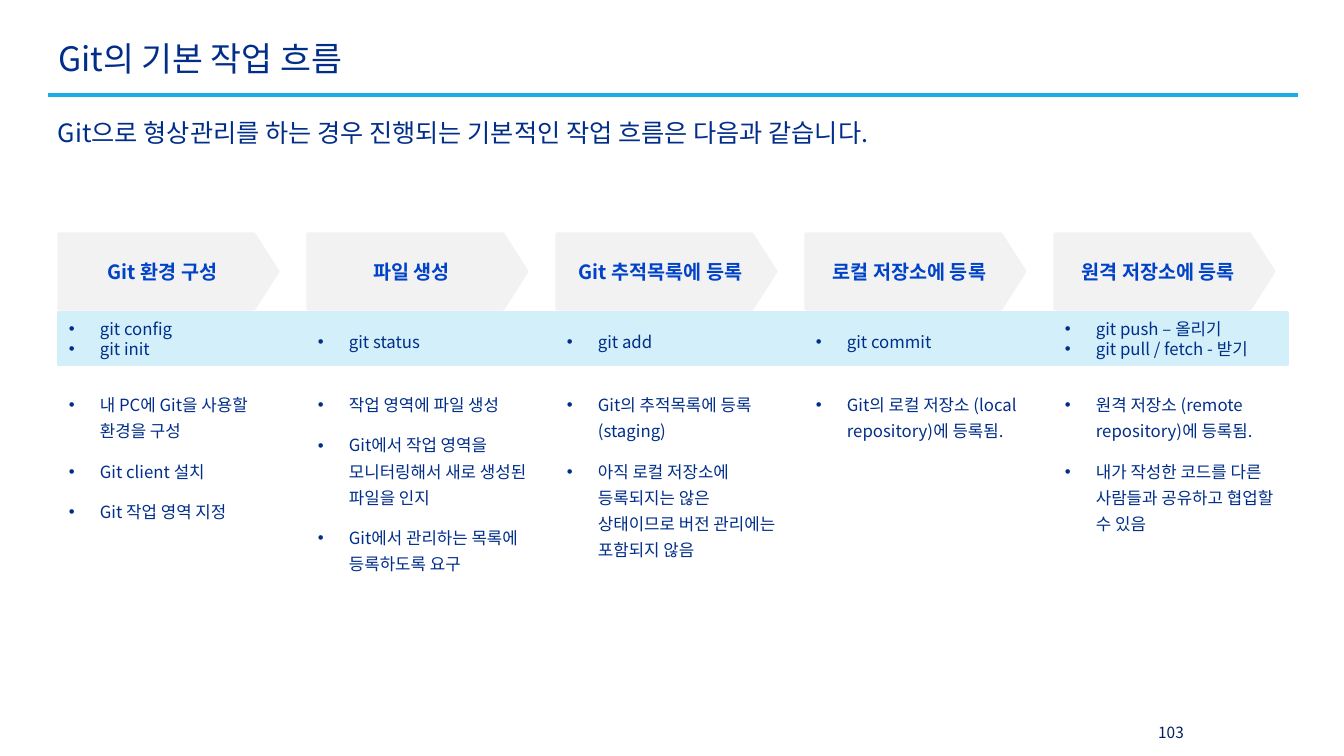
from lxml import etree
from pptx import Presentation
from pptx import util as u
from pptx.dml.color import RGBColor
from pptx.enum import shapes, text
from pptx.oxml.ns import qn

TITLE = "Git의 기본 작업 흐름"
SUBTITLE = "Git으로 형상관리를 하는 경우 진행되는 기본적인 작업 흐름은 다음과 같습니다."
PAGE_NUMBER = "103"
# (step, commands, notes)
STEPS = [
    ("Git 환경 구성", ["git config", "git init"],
     ["내 PC에 Git을 사용할 환경을 구성", "Git client 설치", "Git 작업 영역 지정"]),
    ("파일 생성", ["git status"],
     ["작업 영역에 파일 생성",
      "Git에서 작업 영역을 모니터링해서 새로 생성된 파일을 인지",
      "Git에서 관리하는 목록에 등록하도록 요구"]),
    ("Git 추적목록에 등록", ["git add"],
     ["Git의 추적목록에 등록 (staging)",
      "아직 로컬 저장소에 등록되지는 않은 상태이므로 버전 관리에는 포함되지 않음"]),
    ("로컬 저장소에 등록", ["git commit"],
     ["Git의 로컬 저장소 (local repository)에 등록됨."]),
    ("원격 저장소에 등록", ["git push – 올리기", "git pull / fetch - 받기"],
     ["원격 저장소 (remote repository)에 등록됨.",
      "내가 작성한 코드를 다른 사람들과 공유하고 협업할 수 있음"]),
]

COLORS = {"text": "002E89", "step": "0042C8", "page": "002060",
          "rule": "1CADE4", "band": "D2EFFA", "arrow": "F2F2F2"}
FONT = "Noto Sans CJK KR"

SLIDE_WIDTH, SLIDE_HEIGHT = 1344, 756
EMU_PER_PX = u.Inches(7.5) / SLIDE_HEIGHT
MARGIN, CONTENT_WIDTH, RULE_Y = 48, 1250, 95
LEFT, COLUMN_STEP, COLUMN_WIDTH = 59, 249, 233
ARROW_TOP, ARROW_WIDTH, ARROW_HEIGHT = 234, 219, 75
BAND_TOP, BAND_WIDTH, BAND_HEIGHT = 313, 1228, 51
NOTES_TOP, NOTES_HEIGHT = 384, 190
BULLET_INDENT = 31

ANCHOR, ALIGN = text.MSO_ANCHOR, text.PP_ALIGN


def px(*lengths):
    return [round(length * EMU_PER_PX) for length in lengths]


def color(name):
    return RGBColor.from_string(COLORS[name])


def add_bullet(paragraph):
    properties = paragraph._p.get_or_add_pPr()
    indent = px(BULLET_INDENT)[0]
    properties.set("marL", str(indent))
    properties.set("indent", str(-indent))
    etree.SubElement(properties, qn("a:buFont")).set("typeface", "Arial")
    etree.SubElement(properties, qn("a:buChar")).set("char", "•")


def write(shape, lines, size, color_name="text", anchor=ANCHOR.TOP, align=ALIGN.LEFT,
          spacing=None, bold=False, bullets=False):
    """Fill a shape with one formatted paragraph per line."""
    frame = shape.text_frame
    frame.word_wrap = True
    frame.vertical_anchor = anchor
    for index, line in enumerate(lines):
        paragraph = frame.add_paragraph() if index else frame.paragraphs[0]
        paragraph.text = line
        if bullets:
            add_bullet(paragraph)
        paragraph.alignment = align
        if spacing:
            paragraph.line_spacing = spacing
            if index:
                paragraph.space_before = u.Pt(10)
        font = paragraph.font
        font.size, font.bold = u.Pt(size), bold
        font.color.rgb = color(color_name)
        font.name = FONT
        defaults = paragraph._p.pPr.find(qn("a:defRPr"))
        etree.SubElement(defaults, qn("a:ea")).set("typeface", FONT)


def add_block(slide, kind, box, color_name, line_width):
    shape = slide.shapes.add_shape(kind, *px(*box))
    shape.shadow.inherit = False
    shape.fill.solid()
    shape.fill.fore_color.rgb = color(color_name)
    shape.line.color.rgb = color(color_name)
    shape.line.width = u.Pt(line_width)
    return shape


def add_text(slide, box, lines, size, **style):
    write(slide.shapes.add_textbox(*px(*box)), lines, size, **style)


def add_header(slide):
    rule = slide.shapes.add_connector(
        shapes.MSO_CONNECTOR.STRAIGHT, *px(MARGIN, RULE_Y, MARGIN + CONTENT_WIDTH, RULE_Y))
    rule.line.color.rgb = color("rule")
    rule.line.width = u.Pt(2.25)
    etree.SubElement(rule._element.spPr, qn("a:effectLst"))

    title = slide.shapes.title
    title.left, title.top, title.width, title.height = px(MARGIN, 29, CONTENT_WIDTH, 64)
    write(title, [TITLE], 24, anchor=ANCHOR.MIDDLE, spacing=0.9)
    add_text(slide, (MARGIN, 103, CONTENT_WIDTH, 127), [SUBTITLE], 18, spacing=1.3)
    add_text(slide, (1139, 712, 64, 40), [PAGE_NUMBER], 11, color_name="page",
             anchor=ANCHOR.MIDDLE, align=ALIGN.CENTER)


def add_steps(slide):
    add_block(slide, shapes.MSO_SHAPE.RECTANGLE,
              (LEFT, BAND_TOP, BAND_WIDTH, BAND_HEIGHT), "band", 3)
    for index, (step, commands, notes) in enumerate(STEPS):
        left = LEFT + index * COLUMN_STEP
        arrow = add_block(slide, shapes.MSO_SHAPE.PENTAGON,
                          (left, ARROW_TOP, ARROW_WIDTH, ARROW_HEIGHT), "arrow", 2.25)
        arrow.adjustments[0] = 0.32
        write(arrow, [step], 14, "step", ANCHOR.MIDDLE, ALIGN.CENTER, bold=True)
        add_text(slide, (left, BAND_TOP, COLUMN_WIDTH, BAND_HEIGHT), commands, 12,
                 anchor=ANCHOR.MIDDLE, bullets=True,
                 spacing=1.3 if len(commands) == 1 else None)
        add_text(slide, (left, NOTES_TOP, COLUMN_WIDTH, NOTES_HEIGHT), notes, 12,
                 spacing=1.3, bullets=True)


def main():
    presentation = Presentation()
    presentation.slide_width, presentation.slide_height = px(SLIDE_WIDTH, SLIDE_HEIGHT)
    slide = presentation.slides.add_slide(presentation.slide_layouts[5])
    add_header(slide)
    add_steps(slide)
    presentation.save("out.pptx")


if __name__ == "__main__":
    main()
